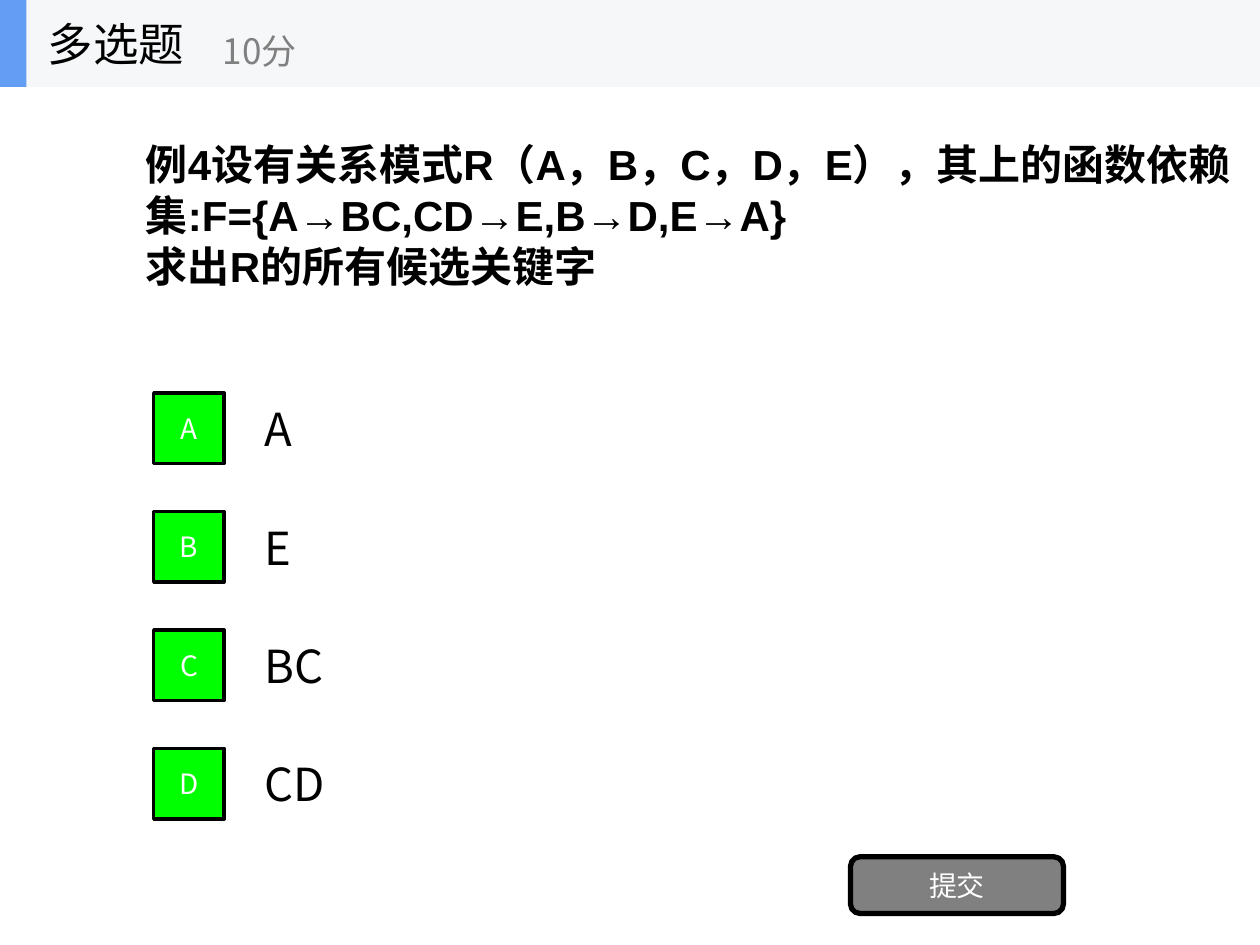
from dataclasses import dataclass
from typing import Optional

from pptx import Presentation
from pptx import util as u
from pptx.dml.color import RGBColor
from pptx.enum import shapes, text


@dataclass(frozen=True)
class Theme:
    black: str = "000000"
    white: str = "FFFFFF"
    gray: str = "808080"
    bar: str = "F6F7F8"
    accent: str = "639EF4"
    choice: str = "00FF00"
    ui_font: str = "Noto Sans CJK SC"
    stem_font: str = "Arial"
    title: float = 26
    stem: float = 24
    score: float = 20
    button: float = 16
    stem_leading: float = 29


@dataclass(frozen=True)
class Box:
    x: float
    y: float
    w: float
    h: float

    def emu(self) -> tuple:
        return tuple(u.Inches(v) for v in (self.x, self.y, self.w, self.h))


@dataclass(frozen=True)
class Style:
    size: float
    color: str
    font: str = Theme.ui_font
    bold: bool = False
    align: text.PP_ALIGN = text.PP_ALIGN.LEFT
    anchor: text.MSO_ANCHOR = text.MSO_ANCHOR.MIDDLE
    leading: Optional[float] = None


@dataclass(frozen=True)
class Option:
    letter: str
    answer: str


T = Theme()
RECT = shapes.MSO_SHAPE.RECTANGLE
ROUNDED = shapes.MSO_SHAPE.ROUNDED_RECTANGLE

HEADING = Style(T.title, T.black)
SCORE = Style(T.score, T.gray)
BUTTON = Style(T.button, T.white, align=text.PP_ALIGN.CENTER)
STEM = Style(T.stem, T.black, font=T.stem_font, bold=True,
             anchor=text.MSO_ANCHOR.TOP, leading=T.stem_leading)

QUESTION = [
    "例4设有关系模式R（A，B，C，D，E），其上的函数依赖集:F={A→BC,CD→E,B→D,E→A}",
    "求出R的所有候选关键字",
]
OPTIONS = [Option("A", "A"), Option("B", "E"), Option("C", "BC"), Option("D", "CD")]
OPTION_TOP, OPTION_PITCH, OPTION_HEIGHT = 3.05, 0.94, 0.7
MARK_SIZE = 0.56
HEADER_HEIGHT = 0.69


def write(tf, lines: list[str], style: Style) -> None:
    tf.word_wrap = True
    tf.vertical_anchor = style.anchor
    for i, line in enumerate(lines):
        p = tf.paragraphs[0] if i == 0 else tf.add_paragraph()
        p.alignment = style.align
        if style.leading:
            p.line_spacing = u.Pt(style.leading)
        r = p.add_run()
        r.text = line
        r.font.size = u.Pt(style.size)
        r.font.bold = style.bold
        r.font.color.rgb = RGBColor.from_string(style.color)
        r.font.name = style.font
        # East Asian characters take their typeface from a:ea
        ea = r.font._element.makeelement(
            "{http://schemas.openxmlformats.org/drawingml/2006/main}ea",
            {"typeface": style.font})
        r.font._element.append(ea)


def add_label(parent, box: Box, lines: list[str], style: Style) -> None:
    write(parent.add_textbox(*box.emu()).text_frame, lines, style)


def add_block(parent, kind: shapes.MSO_SHAPE, box: Box, fill: str,
              line_width: float = 0, caption: str = "") -> None:
    sp = parent.add_shape(kind, *box.emu())
    sp.shadow.inherit = False
    sp.fill.solid()
    sp.fill.fore_color.rgb = RGBColor.from_string(fill)
    if line_width:
        sp.line.color.rgb = RGBColor.from_string(T.black)
        sp.line.width = u.Pt(line_width)
    else:
        sp.line.fill.background()
    if caption:
        write(sp.text_frame, [caption], BUTTON)


def add_option(parent, index: int, option: Option) -> None:
    top = OPTION_TOP + index * OPTION_PITCH
    mark_top = top + (OPTION_HEIGHT - MARK_SIZE) / 2
    add_label(parent, Box(2, top, 7, OPTION_HEIGHT), [option.answer], HEADING)
    add_block(parent, RECT, Box(1.22, mark_top, MARK_SIZE, MARK_SIZE),
              T.choice, 2, option.letter)


def add_header(parent) -> None:
    group = parent.add_group_shape().shapes
    add_block(group, RECT, Box(0, 0, 10, HEADER_HEIGHT), T.bar)
    add_block(group, RECT, Box(0, 0, 0.21, HEADER_HEIGHT), T.accent)
    add_label(group, Box(0.28, 0, 2.08, HEADER_HEIGHT), ["多选题"], HEADING)
    add_label(group, Box(1.67, 0.12, 2.5, 0.56), ["10分"], SCORE)


def main() -> None:
    prs = Presentation()
    prs.slide_width, prs.slide_height = u.Inches(10), u.Inches(7.5)
    s = prs.slides.add_slide(prs.slide_layouts[6])

    # Answer options
    for i, option in enumerate(OPTIONS):
        add_option(s.shapes, i, option)

    # Submit button
    add_block(s.shapes, ROUNDED, Box(6.75, 6.8, 1.69, 0.45), T.gray, 3, "提交")

    # Question stem
    add_label(s.shapes, Box(1.06, 1.05, 9.06, 1.31), QUESTION, STEM)

    # Header bar with question type and score
    add_header(s.shapes)

    prs.save("out.pptx")


if __name__ == "__main__":
    main()
